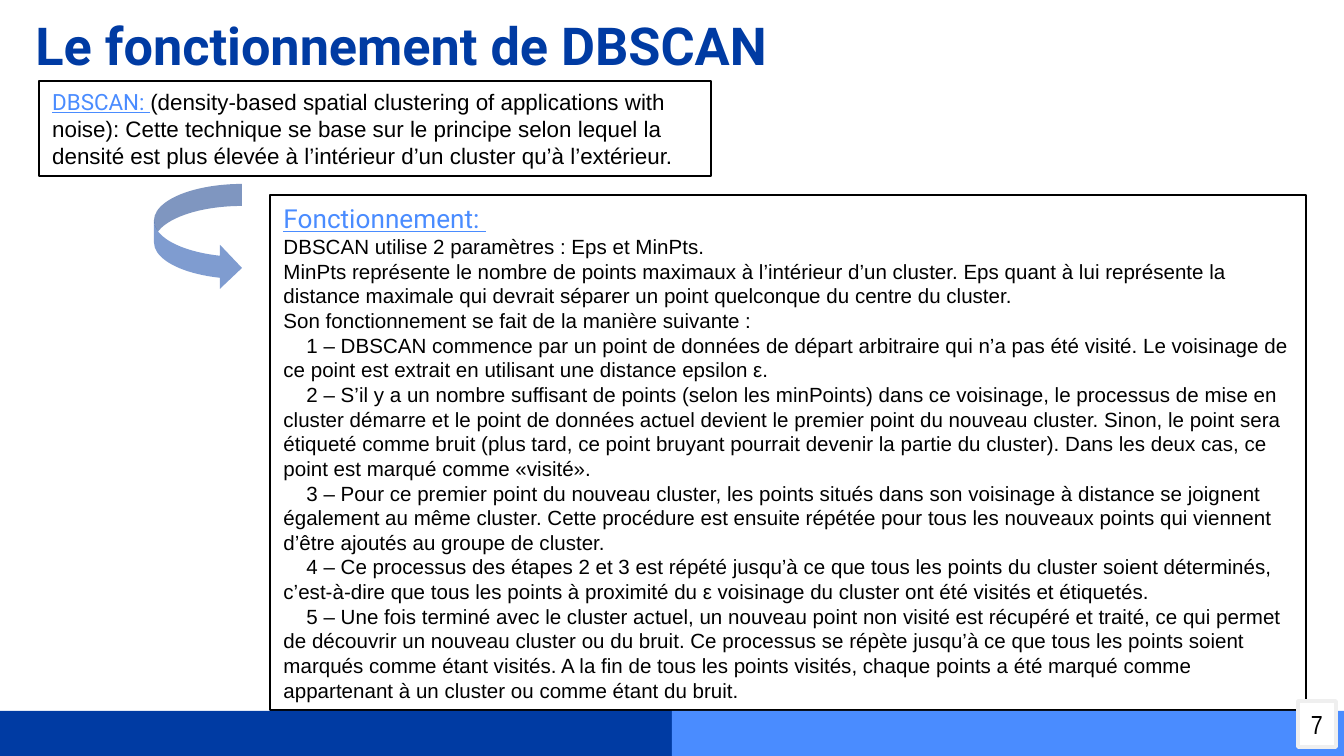
"""Build the slide that explains how DBSCAN works."""
import pptx
import pptx.dml.color
import pptx.enum.shapes
import pptx.enum.text
import pptx.oxml
import pptx.oxml.ns
import pptx.util

SCALE = 914400 / 134.4
KIND = pptx.enum.shapes.MSO_SHAPE
ALIGN = pptx.enum.text.PP_ALIGN
ANCHOR = pptx.enum.text.MSO_ANCHOR
NAVY, BLUE, BLACK, WHITE, GREY = "003BA3", "4A8CFF", "000000", "FFFFFF", "EFEFEF"

HEAD = {"name": "Roboto", "size": 28, "bold": True, "color": NAVY}
TERM = {"name": "Roboto", "size": 12, "underline": True, "color": BLUE}
LABEL = {**TERM, "size": 14}
PLAIN = {"name": "Arial", "size": 12, "color": BLACK}
SMALL = {**PLAIN, "size": 11}
PAGE = {"name": "Arial Narrow", "size": 14, "color": BLACK}

INTRO = [
    "DBSCAN utilise 2 paramètres : Eps et MinPts.",
    "MinPts représente le nombre de points maximaux à l’intérieur d’un cluster. "
    "Eps quant à lui représente la distance maximale qui devrait séparer un point "
    "quelconque du centre du cluster.",
    "Son fonctionnement se fait de la manière suivante :",
]
STEPS = [
    "DBSCAN commence par un point de données de départ arbitraire qui n’a pas été "
    "visité. Le voisinage de ce point est extrait en utilisant une distance epsilon ε.",
    "S’il y a un nombre suffisant de points (selon les minPoints) dans ce voisinage, "
    "le processus de mise en cluster démarre et le point de données actuel devient le "
    "premier point du nouveau cluster. Sinon, le point sera étiqueté comme bruit (plus "
    "tard, ce point bruyant pourrait devenir la partie du cluster). Dans les deux cas, "
    "ce point est marqué comme «visité».",
    "Pour ce premier point du nouveau cluster, les points situés dans son voisinage à "
    "distance se joignent également au même cluster. Cette procédure est ensuite répétée "
    "pour tous les nouveaux points qui viennent d’être ajoutés au groupe de cluster.",
    "Ce processus des étapes 2 et 3 est répété jusqu’à ce que tous les points du cluster "
    "soient déterminés, c’est-à-dire que tous les points à proximité du ε voisinage du "
    "cluster ont été visités et étiquetés.",
    "Une fois terminé avec le cluster actuel, un nouveau point non visité est récupéré et "
    "traité, ce qui permet de découvrir un nouveau cluster ou du bruit. Ce processus se "
    "répète jusqu’à ce que tous les points soient marqués comme étant visités. A la fin "
    "de tous les points visités, chaque points a été marqué comme appartenant à un cluster "
    "ou comme étant du bruit.",
]


def px(count):
    """Turn px into EMU."""
    return pptx.util.Emu(round(count * SCALE))


def tint(target, code):
    """Give a fill or font colour its hex value."""
    target.rgb = pptx.dml.color.RGBColor.from_string(code)


def place(shape, box):
    """Move and size a shape from px values."""
    for name, value in zip(("left", "top", "width", "height"), box):
        setattr(shape, name, px(value))


def paint(shape, fill=None, line=None, width=0.75):
    """Set the fill and outline, or clear them."""
    for part, code in ((shape.fill, fill), (shape.line.fill, line)):
        if code:
            part.solid()
            tint(part.fore_color, code)
        else:
            part.background()
    if line:
        shape.line.width = pptx.util.Pt(width)


def draw(slide, kind, box, **look):
    """Add a flat preset shape."""
    shape = slide.shapes.add_shape(kind, *map(px, box))
    shape.shadow.inherit = False
    paint(shape, **look)
    return shape


def frame(shape, anchor, inset=7, wrap=True):
    """Set how a shape holds its text, with the vertical inset in px."""
    text = shape.text_frame
    form = {
        "auto_size": pptx.enum.text.MSO_AUTO_SIZE.NONE,
        "word_wrap": wrap,
        "vertical_anchor": anchor,
        "margin_top": px(inset),
        "margin_bottom": px(inset),
    }
    for name, value in form.items():
        setattr(text, name, value)
    return text


def write(para, runs, align=ALIGN.LEFT):
    """Fill a paragraph with formatted runs."""
    form = {"alignment": align, "space_before": pptx.util.Pt(0)}
    for name, value in form.items():
        setattr(para, name, value)
    for words, style in runs:
        run = para.add_run()
        run.text = words
        for name, value in style.items():
            if name == "color":
                tint(run.font.color, value)
            else:
                setattr(run.font, name, pptx.util.Pt(value) if name == "size" else value)


def indent(para, first):
    """Drop the bullet and indent the first line by px."""
    props = para._p.get_or_add_pPr()
    props.set("marL", "0")
    props.set("indent", str(px(first)))
    props.append(pptx.oxml.parse_xml(f"<a:buNone {pptx.oxml.ns.nsdecls('a')}/>"))


def fade(shape, share):
    """Make a solid fill partly transparent."""
    color = shape._element.spPr.find(".//" + pptx.oxml.ns.qn("a:srgbClr"))
    alpha = f'<a:alpha {pptx.oxml.ns.nsdecls("a")} val="{share * 1000}"/>'
    color.append(pptx.oxml.parse_xml(alpha))


def explain(body):
    """Write the parameters and numbered steps."""
    text = frame(body, ANCHOR.MIDDLE, 13)
    rows = [("Fonctionnement: ", LABEL, 0)]
    rows += [(words, SMALL, 0) for words in INTRO]
    rows += [(f"{rank} – {words}", SMALL, 23) for rank, words in enumerate(STEPS, 1)]
    for rank, (words, style, first) in enumerate(rows):
        para = text.add_paragraph() if rank else text.paragraphs[0]
        write(para, [(words, style)])
        indent(para, first)


def main():
    """Build and save the slide."""
    deck = pptx.Presentation()
    deck.slide_width, deck.slide_height = px(1344), px(756)
    slide = deck.slides.add_slide(deck.slide_layouts[1])
    title, body = slide.placeholders

    for rank, code in enumerate((NAVY, BLUE)):
        draw(slide, KIND.RECTANGLE, (672 * rank, 711, 672, 45), fill=code)

    place(title, (13, 0, 776, 81))
    text = frame(title, ANCHOR.TOP, 13)
    write(text.paragraphs[0], [("Le fonctionnement de DBSCAN", HEAD)], ALIGN.CENTER)

    place(body, (270, 195, 1036, 515))
    paint(body, line=BLACK)
    explain(body)

    page = draw(slide, KIND.RECTANGLE, (1298, 701, 38, 46), fill=WHITE, line=GREY, width=2)
    text = frame(page, ANCHOR.MIDDLE, wrap=False)
    write(text.paragraphs[0], [("7", PAGE)], ALIGN.RIGHT)

    note = draw(slide, KIND.RECTANGLE, (39, 81, 672, 95), line=BLACK)
    text = frame(note, ANCHOR.TOP)
    write(text.paragraphs[0], [
        ("DBSCAN: ", TERM),
        ("(density-based spatial clustering of applications with noise): Cette technique "
         "se base sur le principe selon lequel la densité est plus élevée à l’intérieur "
         "d’un cluster qu’à l’extérieur.", PLAIN),
    ])

    arrow = draw(slide, KIND.CURVED_RIGHT_ARROW, (154, 184, 88, 106), fill=NAVY)
    fade(arrow, 50)
    deck.save("out.pptx")


if __name__ == "__main__":
    main()
